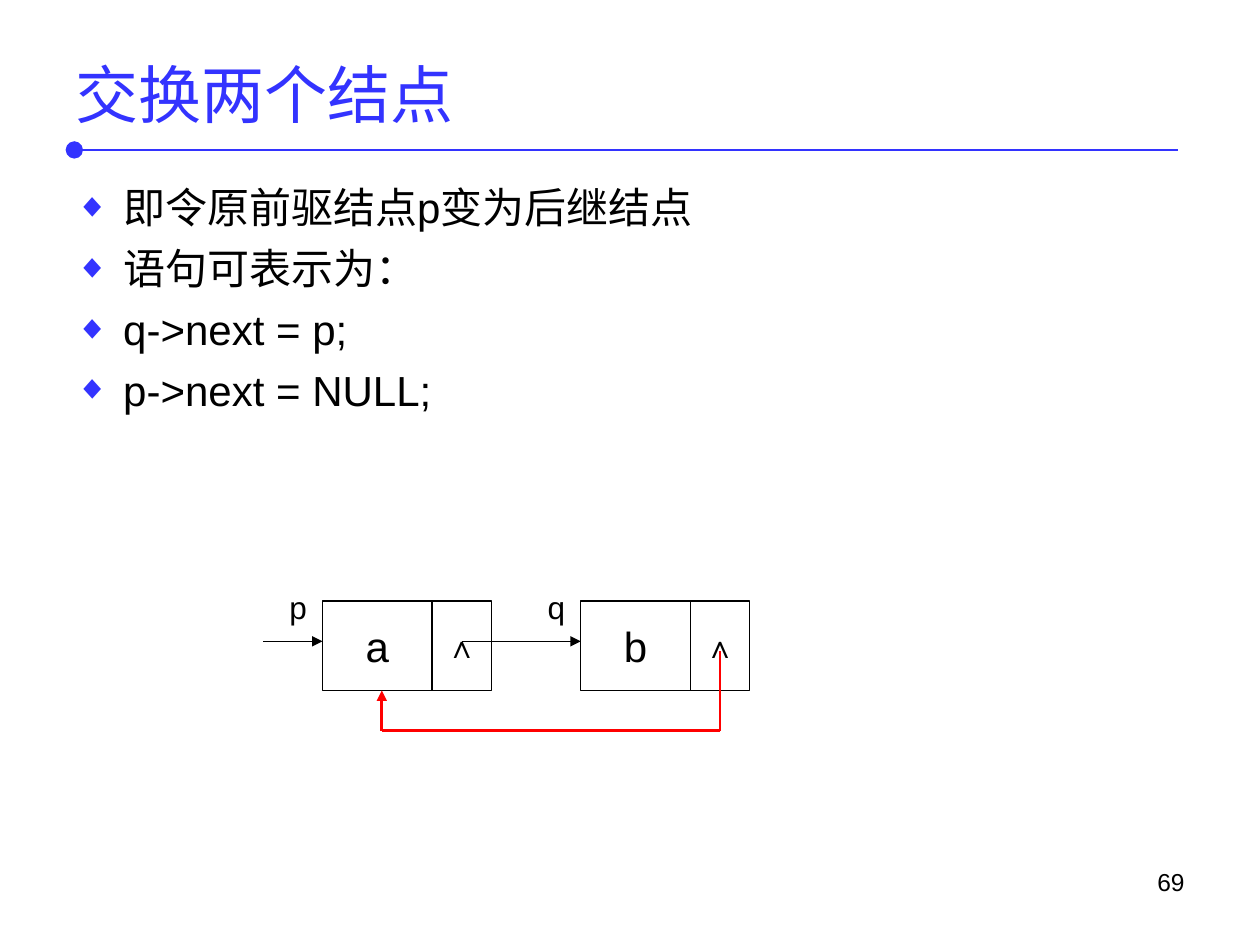
from lxml.etree import SubElement as Sub
from pptx import Presentation
from pptx.dml.color import RGBColor as RGB
from pptx.enum.shapes import MSO_CONNECTOR as Link, MSO_SHAPE as Form
from pptx.enum.text import MSO_ANCHOR as Anchor, PP_ALIGN as Align
from pptx.oxml.ns import qn
from pptx.util import Inches, Pt

BLUE, BLACK, RED = RGB(0x33, 0x33, 0xFF), RGB(0, 0, 0), RGB(0xFF, 0, 0)
FONT = "Arial"

TITLE = "交换两个结点"
POINTS = ["即令原前驱结点p变为后继结点", "语句可表示为：", "q->next = p;", "p->next = NULL;"]
NODES = [("p", "a"), ("q", "b")]
PAGE = "69"

# Node grid in inches: data cell, link cell, distance between nodes
LEFT, TOP, STEP = 2.56, 4.77, 2.05
DATA, NEXT, HIGH = 0.87, 0.47, 0.71
LEAD, MID, LOW = 0.47, 5.09, 5.8

deck = Presentation()
deck.slide_width, deck.slide_height = Inches(10), Inches(7.5)
slide = deck.slides.add_slide(deck.slide_layouts[6])
shapes = slide.shapes


def write(shape, lines, size, color=BLACK, align=Align.CENTER, anchor=Anchor.MIDDLE, wrap=False):
    """Fill a shape with text in one style and return its paragraphs."""
    frame = shape.text_frame
    frame.text = "\n".join(lines)
    frame.word_wrap, frame.vertical_anchor = wrap, anchor
    for para in frame.paragraphs:
        para.alignment = align
        for run in para.runs:
            run.font.size, run.font.name = Pt(size), FONT
            run.font.color.rgb = color
    return frame.paragraphs


def label(box, *args, **style):
    """Add a text box at the given place."""
    return write(shapes.add_textbox(*map(Inches, box)), *args, **style)


def cell(left, wide, text, size):
    """Add one outlined cell of a node."""
    box = shapes.add_shape(Form.RECTANGLE, *map(Inches, (left, TOP, wide, HIGH)))
    box.shadow.inherit = False
    box.fill.background()
    box.line.color.rgb, box.line.width = BLACK, Pt(0.74)
    write(box, [text], size)


def line(start, end, color=BLACK, width=0.74, tip=None):
    """Draw a straight line; tip holds the end's tag, type and size."""
    link = shapes.add_connector(Link.STRAIGHT, *map(Inches, start + end))
    link.line.color.rgb, link.line.width = color, Pt(width)
    if tip:
        tag, kind, size = tip
        Sub(link.line._get_or_add_ln(), qn(tag), type=kind, w=size, len=size)
    Sub(link._element.spPr, qn("a:effectLst"))


def bullet(para):
    """Give a paragraph a hanging blue diamond."""
    para.space_before = Pt(6)
    props = para._p.get_or_add_pPr()
    props.set("marL", str(Inches(0.38)))
    props.set("indent", str(-Inches(0.38)))
    Sub(Sub(props, qn("a:buClr")), qn("a:srgbClr"), val=str(BLUE))
    Sub(props, qn("a:buSzPct"), val="80000")
    Sub(props, qn("a:buFont"), typeface=FONT)
    Sub(props, qn("a:buChar"), char="◆")


ARROW = ("a:tailEnd", "triangle", "med")
line((0.59, 1.19), (9.35, 1.19), BLUE, 1.5, ("a:headEnd", "oval", "lg"))
label((0.5, 0.3, 9, 0.88), [TITLE], 36, BLUE, Align.LEFT, wrap=True)
for para in label((0.5, 1.39, 9, 2.11), POINTS, 24, align=Align.LEFT, anchor=Anchor.TOP, wrap=True):
    bullet(para)

for i, (name, value) in enumerate(NODES):
    left = LEFT + i * STEP
    cell(left, DATA, value, 24)
    cell(left + DATA, NEXT, "∧", 18)
    label((left - LEAD, TOP - 0.15, 0.55, 0.39), [name], 18)
    tail = left - LEAD if i == 0 else left - STEP + DATA + NEXT / 2
    line((tail, MID), (left, MID), tip=ARROW)

near, far = LEFT + LEAD, LEFT + STEP + DATA + NEXT / 2
route = [(far, 5.17), (far, LOW), (near, LOW), (near, TOP + HIGH)]
for i, (start, end) in enumerate(zip(route, route[1:])):
    line(start, end, RED, 1.5, ARROW if i == 2 else None)

label((7.17, 6.83, 2.33, 0.52), [PAGE], 14, align=Align.RIGHT, anchor=Anchor.TOP, wrap=True)
deck.save("out.pptx")
